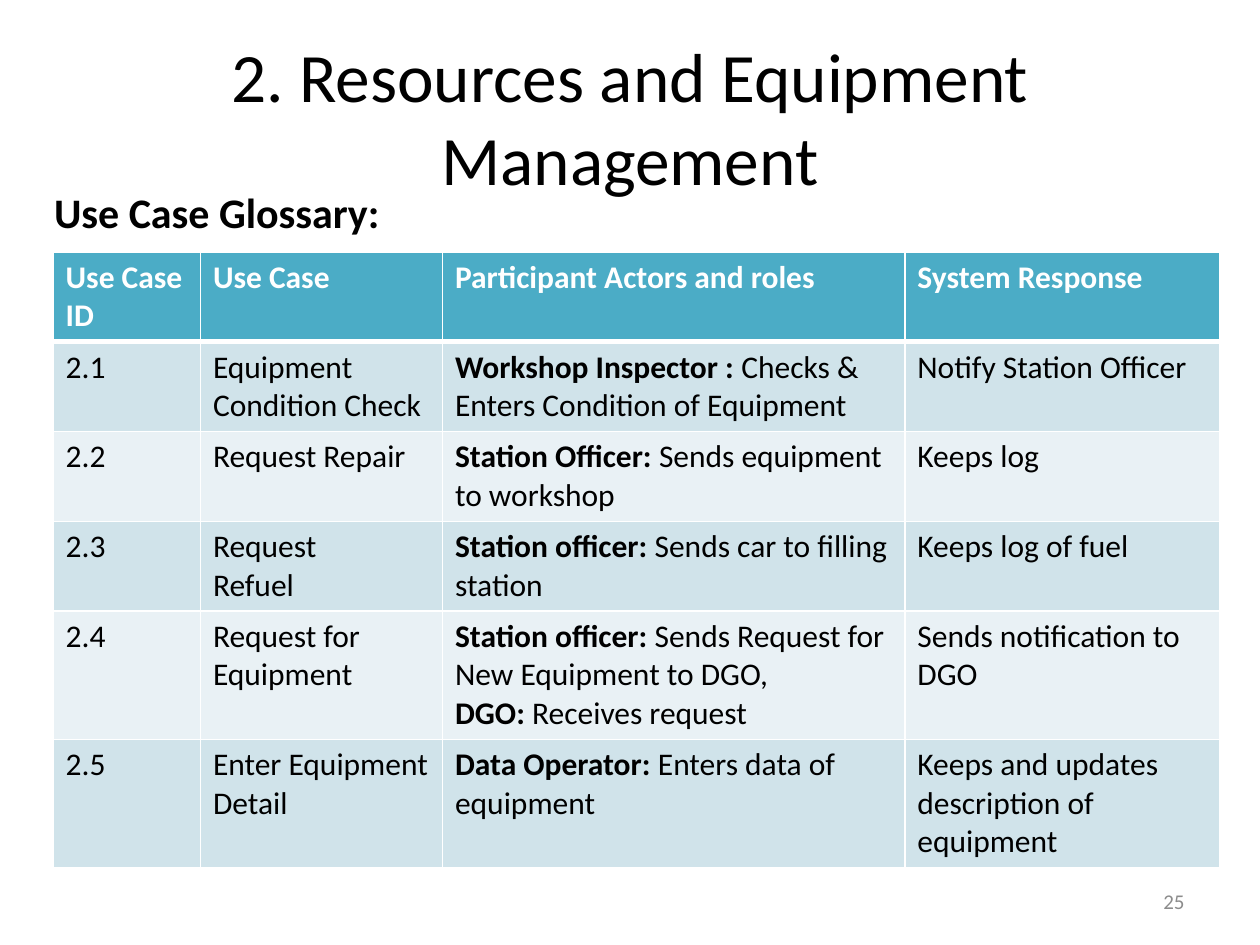
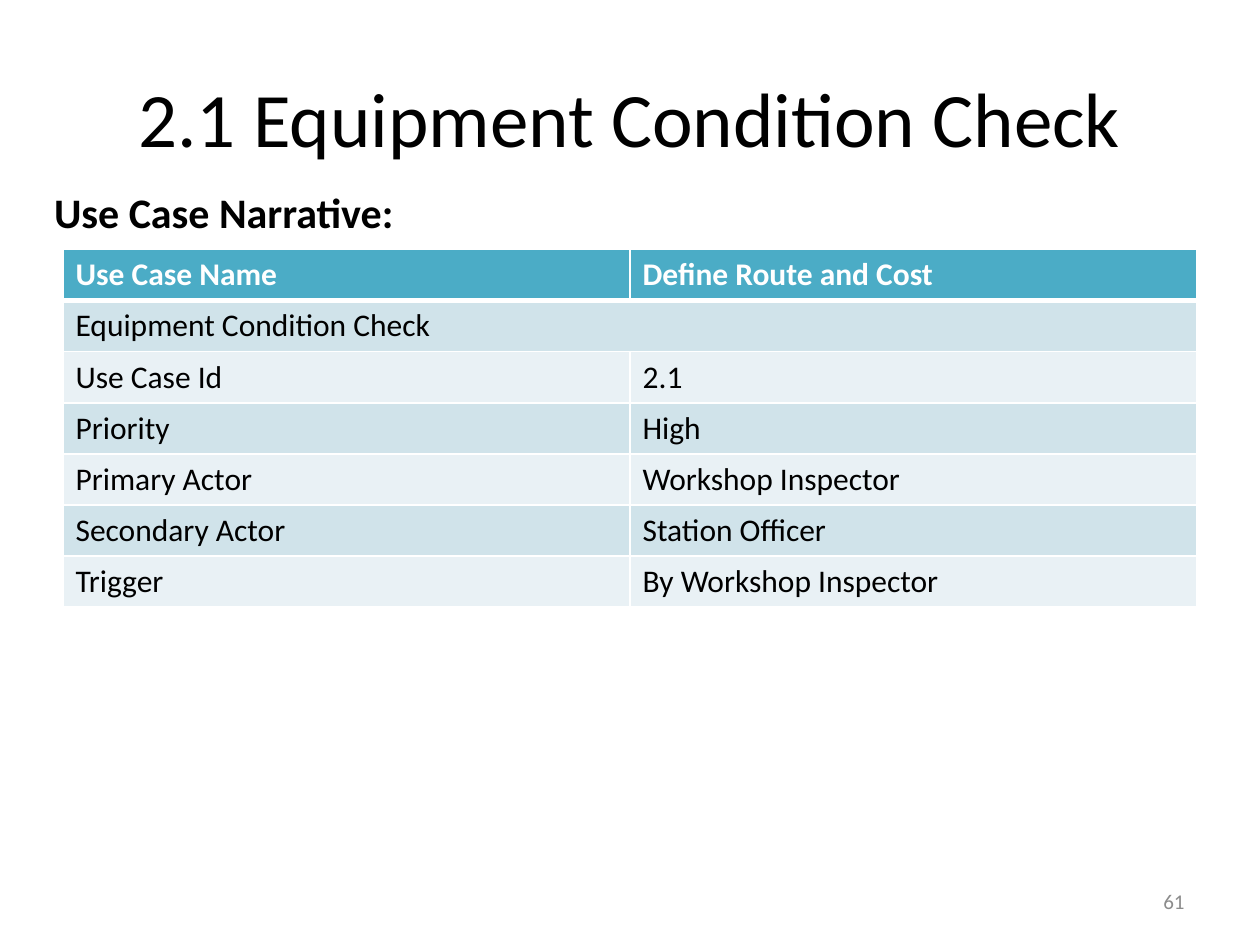
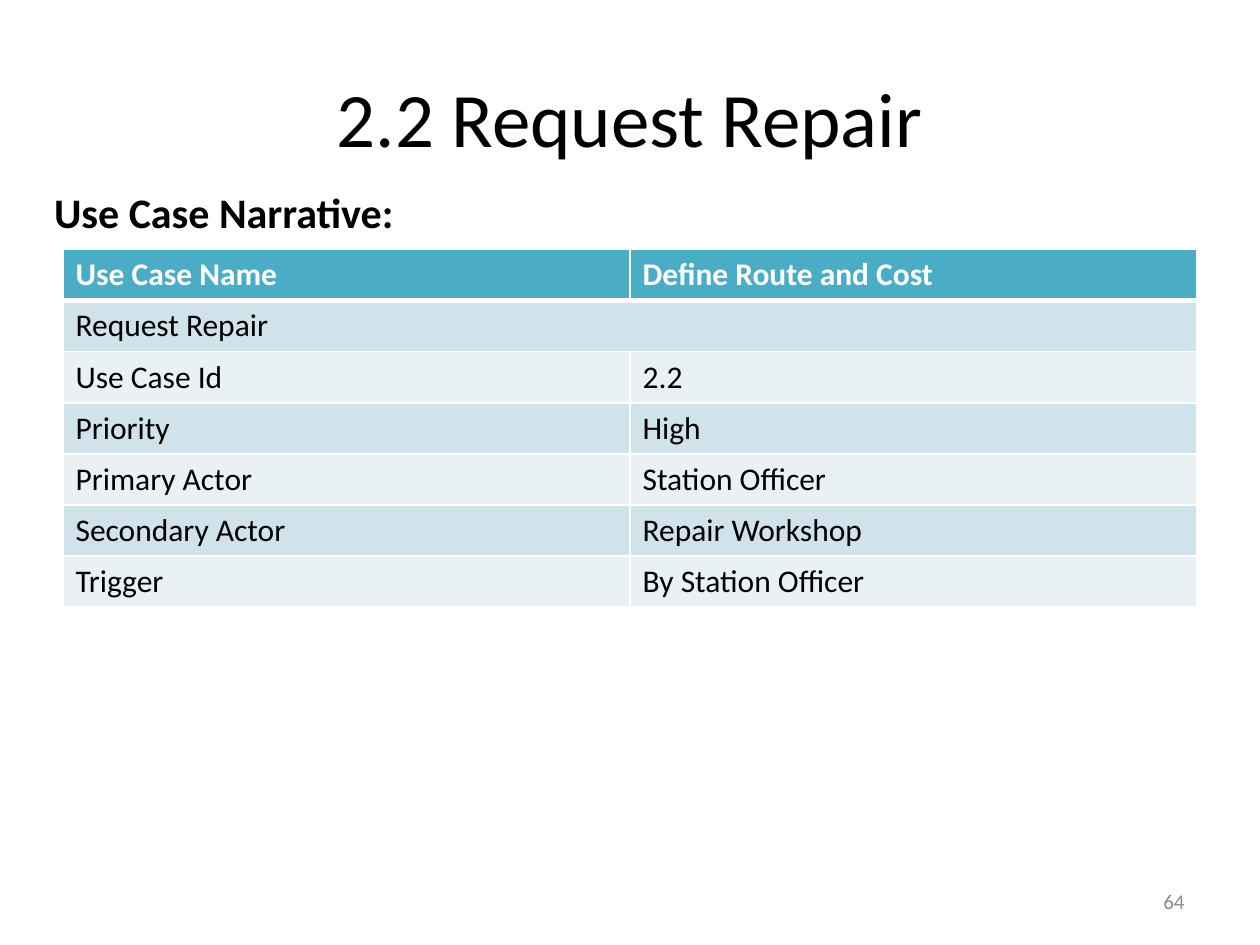
from lxml import etree
from pptx import Presentation
from pptx.dml.color import RGBColor
from pptx.enum.text import MSO_ANCHOR, MSO_AUTO_SIZE, PP_ALIGN
from pptx.oxml.ns import qn
from pptx.util import Cm, Pt

LEFT, CENTER, RIGHT = PP_ALIGN.LEFT, PP_ALIGN.CENTER, PP_ALIGN.RIGHT
TOP, MIDDLE = MSO_ANCHOR.TOP, MSO_ANCHOR.MIDDLE
GROW, FIXED = MSO_AUTO_SIZE.SHAPE_TO_FIT_TEXT, MSO_AUTO_SIZE.NONE

BLACK = RGBColor(0x00, 0x00, 0x00)
WHITE = RGBColor(0xFF, 0xFF, 0xFF)
GRAY = RGBColor(0x8C, 0x8C, 0x8C)
TEAL = RGBColor(0x4B, 0xAC, 0xC6)
BANDS = RGBColor(0xD0, 0xE3, 0xEA), RGBColor(0xE9, 0xF1, 0xF5)

FONT = "Calibri"
LINE, PAD = 0.78, 0.25  # height of a table line and of the cell margins, in cm


class Deck:
    def __init__(self):
        self.prs = Presentation()
        self.prs.slide_width, self.prs.slide_height = Cm(25.4), Cm(19.05)
        self.slide = None

    def page(self, title, heading, number, size=44):
        self.slide = self.prs.slides.add_slide(self.prs.slide_layouts[6])
        self.text(title, (1.27, 0.76, 22.86, 3.18), size, align=CENTER, anchor=MIDDLE)
        self.text(heading, (0.84, 3.63, 13.34, 1.27), 24, bold=True, fit=GROW)
        self.text(number, (18.21, 17.65, 5.92, 1.02), 12, GRAY, align=RIGHT, anchor=MIDDLE)

    def style(self, run, size, color, bold):
        font = run.font
        font.name, font.size, font.bold = FONT, Pt(size), bold
        font.color.rgb = color

    def text(self, words, box, size, color=BLACK, bold=False,
             align=LEFT, anchor=TOP, fit=FIXED):
        frame = self.slide.shapes.add_textbox(*map(Cm, box)).text_frame
        frame.word_wrap, frame.auto_size = True, fit
        frame.vertical_anchor = anchor
        frame.text = words
        par = frame.paragraphs[0]
        par.alignment = align
        self.style(par.runs[0], size, color, bold)

    def edge(self, cell, side, width):
        line = etree.SubElement(cell._tc.get_or_add_tcPr(), qn(f"a:ln{side}"),
                                w=str(Pt(width)))
        fill = etree.SubElement(line, qn("a:solidFill"))
        etree.SubElement(fill, qn("a:srgbClr"), val=str(WHITE))

    def cell(self, cell, words, row):
        """Fill one cell; in each line, words before a bar are bold."""
        head = row == 0
        for side in "LRTB":
            thick = (row, side) in ((0, "B"), (1, "T"))
            self.edge(cell, side, 3 if thick else 1)
        cell.fill.solid()
        cell.fill.fore_color.rgb = TEAL if head else BANDS[(row - 1) % 2]
        cell.text_frame.text = words
        for par in cell.text_frame.paragraphs:
            strong, bar, plain = par.text.partition("|")
            if bar:
                par.text = strong
                par.add_run().text = plain
            for i, run in enumerate(par.runs):
                self.style(run, 18, WHITE if head else BLACK,
                           head or (bool(bar) and i == 0))

    def table(self, left, top, cols, rows, lines):
        """Draw a banded table; a row with one entry spans all columns."""
        highs = [Cm(PAD + LINE * n) for n in lines]
        grid = self.slide.shapes.add_table(
            len(rows), len(cols), Cm(left), Cm(top), Cm(sum(cols)), sum(highs)).table
        for col, width in zip(grid.columns, cols):
            col.width = Cm(width)
        for r, row in enumerate(rows):
            grid.rows[r].height = highs[r]
            if len(row) == 1:
                grid.cell(r, 0).merge(grid.cell(r, len(cols) - 1))
            for c, words in enumerate(row):
                self.cell(grid.cell(r, c), words, r)


GLOSSARY = [
    ("Use Case ID", "Use Case", "Participant Actors and roles", "System Response"),
    ("2.1", "Equipment Condition Check",
     "Workshop Inspector : |Checks & Enters Condition of Equipment",
     "Notify Station Officer"),
    ("2.2", "Request Repair",
     "Station Officer: |Sends equipment to workshop", "Keeps log"),
    ("2.3", "Request\nRefuel",
     "Station officer: |Sends car to filling station", "Keeps log of fuel"),
    ("2.4", "Request for Equipment",
     "Station officer: |Sends Request for New Equipment to DGO,\n"
     "DGO:| Receives request", "Sends notification to DGO"),
    ("2.5", "Enter Equipment Detail",
     "Data Operator: |Enters data of equipment",
     "Keeps and updates description of equipment"),
]

FIELDS = "Use Case Id", "Priority", "Primary Actor", "Secondary Actor", "Trigger"
CASES = [
    ("Equipment Condition Check", "61",
     ("2.1", "High", "Workshop Inspector", "Station Officer", "By Workshop Inspector")),
    ("Request Repair", "64",
     ("2.2", "High", "Station Officer", "Repair Workshop", "By Station Officer")),
]


def main():
    deck = Deck()
    deck.page("2. Resources and Equipment Management", "Use Case Glossary:", "25", 39.6)
    deck.table(1.07, 5.08, (2.97, 4.88, 9.32, 6.35), GLOSSARY, (2, 2, 2, 2, 3, 3))
    for name, number, facts in CASES:
        deck.page(f"{facts[0]} {name}", "Use Case Narrative:", number)
        rows = [("Use Case Name", "Define Route and Cost"), (name,), *zip(FIELDS, facts)]
        deck.table(1.27, 5.03, (11.43, 11.43), rows, [1] * len(rows))
    deck.prs.save("out.pptx")


if __name__ == "__main__":
    main()
